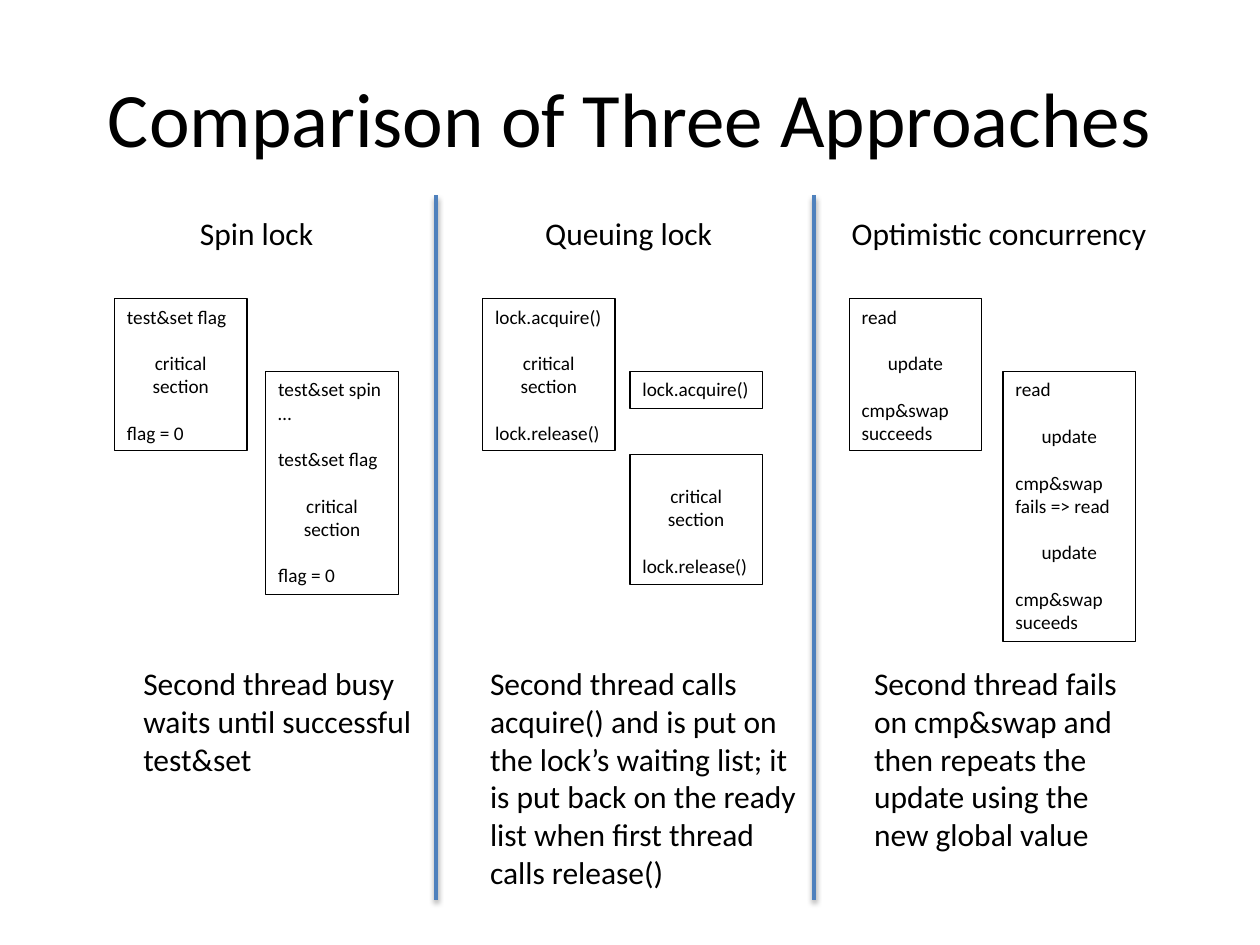
from dataclasses import dataclass

from lxml import etree
from pptx import Presentation
from pptx.dml.color import RGBColor
from pptx.enum import shapes, text
from pptx.oxml import ns
from pptx.util import Cm, Pt

BLACK = RGBColor(0x00, 0x00, 0x00)
BLUE = RGBColor(0x4F, 0x81, 0xBD)
FONT = "Calibri"
STEP_SIZE, BODY_SIZE, TITLE_SIZE = 11, 18, 44
LINE_GAP = Pt(13.4)  # one line of step text

# Lengths below are centimetres
STEP_WIDTH = 2.67
FIRST_TOP, SECOND_TOP = 6.02, 7.49
HEADING_TOP, SUMMARY_TOP = 4.19, 13.26
DIVIDER_TOP, DIVIDER_BOTTOM = 3.94, 18.14


@dataclass
class Step:
    words: str
    gap: bool = False
    centred: bool = False


@dataclass
class ThreadBox:
    left: float
    top: float
    height: float
    steps: list[Step]
    top_gap: bool = False


@dataclass
class Label:
    words: str
    left: float
    width: float
    height: float


@dataclass
class Approach:
    heading: Label
    boxes: list[ThreadBox]
    summary: Label


CRITICAL = [Step("critical", gap=True, centred=True), Step("section", centred=True)]
CRITICAL_FIRST = [Step("critical", centred=True), Step("section", centred=True)]
UPDATE = Step("update", gap=True, centred=True)
FLAG_CLEAR = Step("flag = 0", gap=True)
ACQUIRE = Step("lock.acquire()")
RELEASE = Step("lock.release()", gap=True)

APPROACHES = [
    Approach(
        Label("Spin lock", 3.78, 2.9, 1.07),
        [
            ThreadBox(2.31, FIRST_TOP, 3.07, [Step("test&set flag"), *CRITICAL, FLAG_CLEAR]),
            ThreadBox(5.36, SECOND_TOP, 4.5, [
                Step("test&set spin"), Step("…"), Step("test&set flag", gap=True),
                *CRITICAL, FLAG_CLEAR]),
        ],
        Label("Second thread busy waits until successful test&set", 2.64, 6.15, 2.57),
    ),
    Approach(
        Label("Queuing lock", 10.74, 3.89, 1.02),
        [
            ThreadBox(9.73, FIRST_TOP, 3.07, [ACQUIRE, *CRITICAL, RELEASE]),
            ThreadBox(12.7, SECOND_TOP, 0.74, [ACQUIRE]),
            ThreadBox(12.7, 9.17, 2.62, [*CRITICAL_FIRST, RELEASE], top_gap=True),
        ],
        Label("Second thread calls acquire() and is put on the lock’s waiting list; "
              "it is put back on the ready list when first thread calls release()",
              9.63, 6.96, 4.88),
    ),
    Approach(
        Label("Optimistic concurrency", 16.92, 6.6, 1.02),
        [
            ThreadBox(17.12, FIRST_TOP, 3.07, [
                Step("read"), UPDATE, Step("cmp&swap succeeds", gap=True)]),
            ThreadBox(20.22, SECOND_TOP, 5.44, [
                Step("read"), UPDATE, Step("cmp&swap", gap=True), Step("fails => read"),
                UPDATE, Step("cmp&swap", gap=True), Step("suceeds")]),
        ],
        Label("Second thread fails on cmp&swap and then repeats the update "
              "using the new global value", 17.37, 5.66, 4.11),
    ),
]
DIVIDERS = [8.79, 16.41]


def style_font(font, size: float) -> None:
    font.name = FONT
    font.size = Pt(size)
    font.color.rgb = BLACK


def add_label(page, label: Label, top: float, size: float = BODY_SIZE, wrap: bool = True):
    box = page.shapes.add_textbox(Cm(label.left), Cm(top), Cm(label.width), Cm(label.height))
    frame = box.text_frame
    frame.text = label.words
    frame.word_wrap = wrap
    style_font(frame.paragraphs[0].runs[0].font, size)
    return frame


def add_thread_box(page, thread: ThreadBox) -> None:
    box = page.shapes.add_shape(
        shapes.MSO_SHAPE.RECTANGLE,
        Cm(thread.left), Cm(thread.top), Cm(STEP_WIDTH), Cm(thread.height))
    box.shadow.inherit = False
    box.fill.background()
    box.line.color.rgb = BLACK
    box.line.width = Pt(0.75)
    frame = box.text_frame
    frame.word_wrap = True
    frame.vertical_anchor = text.MSO_ANCHOR.TOP
    if thread.top_gap:
        frame.margin_top += LINE_GAP
    frame.text = "\n".join(step.words for step in thread.steps)
    for para, step in zip(frame.paragraphs, thread.steps):
        para.alignment = text.PP_ALIGN.CENTER if step.centred else text.PP_ALIGN.LEFT
        if step.gap:
            para.space_before = LINE_GAP
        style_font(para.runs[0].font, STEP_SIZE)


def add_divider(page, left: float) -> None:
    line = page.shapes.add_connector(
        shapes.MSO_CONNECTOR.STRAIGHT,
        Cm(left), Cm(DIVIDER_TOP), Cm(left), Cm(DIVIDER_BOTTOM))
    line.line.color.rgb = BLUE
    line.line.width = Pt(2)
    # Soft shadow falling straight down
    effects = etree.SubElement(line._element.spPr, ns.qn("a:effectLst"))
    shadow = etree.SubElement(effects, ns.qn("a:outerShdw"), blurRad=str(Pt(3.1)),
                              dist=str(Pt(1.6)), dir="5400000", rotWithShape="0")
    color = etree.SubElement(shadow, ns.qn("a:srgbClr"), val=str(BLACK))
    etree.SubElement(color, ns.qn("a:alpha"), val="38000")


deck = Presentation()
deck.slide_width, deck.slide_height = Cm(25.4), Cm(19.05)
page = deck.slides.add_slide(deck.slide_layouts[6])

# Title
title = add_label(page, Label("Comparison of Three Approaches", 1.27, 22.86, 3.18),
                  0.76, TITLE_SIZE)
title.vertical_anchor = text.MSO_ANCHOR.MIDDLE
title.paragraphs[0].alignment = text.PP_ALIGN.CENTER

# One column per approach
for approach in APPROACHES:
    add_label(page, approach.heading, HEADING_TOP, wrap=False)
    for thread in approach.boxes:
        add_thread_box(page, thread)
    add_label(page, approach.summary, SUMMARY_TOP)

# Lines between the columns
for left in DIVIDERS:
    add_divider(page, left)

deck.save("out.pptx")
